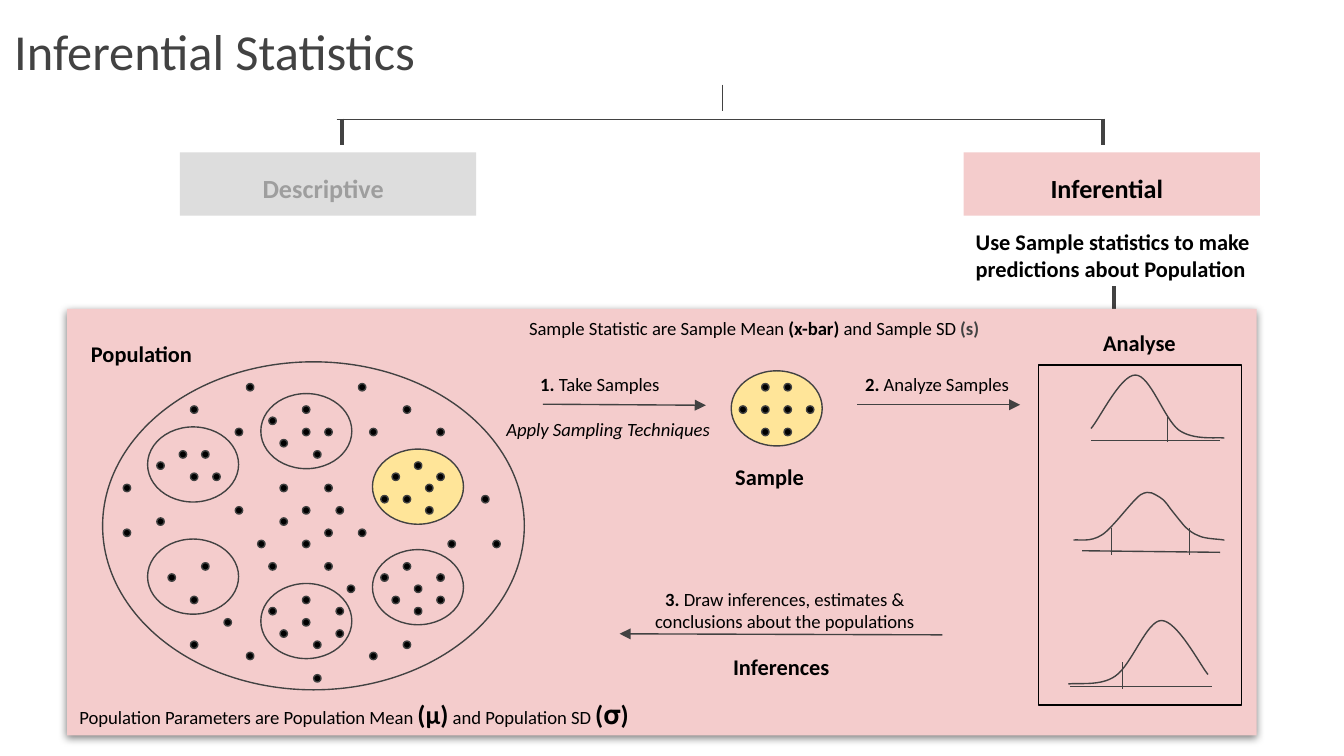
from dataclasses import dataclass

from lxml import etree
from pptx import Presentation
from pptx.dml.color import RGBColor
from pptx.enum.shapes import MSO_CONNECTOR, MSO_SHAPE
from pptx.enum.text import MSO_ANCHOR, PP_ALIGN
from pptx.oxml.ns import qn
from pptx.util import Cm, Pt

RECTANGLE, OVAL = MSO_SHAPE.RECTANGLE, MSO_SHAPE.OVAL
STRAIGHT = MSO_CONNECTOR.STRAIGHT
LEFT, CENTER = PP_ALIGN.LEFT, PP_ALIGN.CENTER
TOP, BOTTOM = MSO_ANCHOR.TOP, MSO_ANCHOR.BOTTOM


@dataclass(frozen=True)
class Theme:
    font: str = "Calibri"
    ink: str = "000000"
    dark: str = "424242"
    muted: str = "9E9E9E"
    gray: str = "DDDDDD"
    pink: str = "F4CCCC"
    yellow: str = "FFE599"
    white: str = "FFFFFF"
    title: float = 27
    heading: float = 14
    label: float = 12
    body: float = 10
    thin: float = 0.75
    thick: float = 2.25


THEME = Theme()
BOLD = {"bold": True}
LABEL = {"size": THEME.label, "bold": True}
SYMBOL = {"size": THEME.heading, "bold": True}

GROUP_SIZE = (1.72, 1.42)
GROUPS = [(4.93, 7.44), (2.79, 8.07), (2.79, 10.19), (4.93, 11.03), (7.04, 10.39)]
CHOSEN_GROUPS = [(7.04, 8.49), (13.82, 7.01)]

# Dots sit on a grid of twelfths of an inch: row -> columns.
DOT_STEP = 2.54 / 12
DOT_ORIGIN = (2.33, 7.25)
DOT_SIZE = 0.14
POPULATION_DOTS = {
    0: [11, 21], 2: [6, 16, 25], 3: [13], 4: [10, 16, 18, 22, 28], 5: [14],
    6: [5, 7, 17], 7: [3, 26], 8: [6, 8, 24, 28], 9: [0, 14, 18, 27],
    10: [23, 25, 32], 11: [10, 16, 19, 27], 12: [3, 14], 13: [0, 18, 21],
    14: [12, 16, 29, 33], 16: [7, 13, 18, 25], 17: [4, 23, 28], 18: [20, 26],
    19: [6, 16, 24, 28], 20: [13, 19, 26], 21: [9, 16], 22: [14, 19],
    23: [6, 17, 25], 24: [11, 22], 26: [17],
}
SAMPLE_DOTS = {0: [57, 59], 2: [55, 57, 59, 61], 4: [57, 59]}

# Each curve is a start point followed by groups of three Bezier points.
CURVES = [
    [(20.62, 8.1), (20.78, 7.92), (21.18, 7.08), (21.46, 7.09),
     (21.74, 7.09), (22, 7.92), (22.28, 8.13),
     (22.56, 8.33), (23.01, 8.26), (23.14, 8.28)],
    [(20.29, 10.21), (20.37, 10.19), (20.6, 10.26), (20.83, 10.11),
     (21.03, 9.98), (21.39, 9.47), (21.56, 9.35),
     (21.74, 9.25), (21.82, 9.35), (21.92, 9.4),
     (22.02, 9.45), (22.1, 9.6), (22.17, 9.68),
     (22.25, 9.78), (22.33, 9.88), (22.4, 9.96),
     (22.48, 10.03), (22.53, 10.08), (22.66, 10.13),
     (22.78, 10.19), (23.06, 10.19), (23.14, 10.21)],
    [(22.83, 12.75), (22.68, 12.57), (22.25, 11.73), (21.95, 11.73),
     (21.67, 11.73), (21.39, 12.57), (21.08, 12.78),
     (20.8, 12.98), (20.35, 12.9), (20.19, 12.93)],
]
BASELINES = [(20.62, 8.33, 23.06, 8.33), (20.45, 10.41, 23.06, 10.44),
             (20.22, 12.98, 22.91, 12.98)]
CUTOFFS = [(22.07, 7.87, 22.07, 8.36), (21.01, 9.98, 21.01, 10.49),
           (22.48, 9.98, 22.48, 10.49), (21.21, 12.52, 21.21, 13.03)]


def style(shape, fill=None, line=None):
    shape.shadow.inherit = False
    if fill:
        shape.fill.solid()
        shape.fill.fore_color.rgb = RGBColor.from_string(fill)
    else:
        shape.fill.background()
    if line:
        shape.line.color.rgb = RGBColor.from_string(line)
        shape.line.width = Pt(THEME.thin)
    else:
        shape.line.fill.background()


def add_figure(slide, kind, box, fill=None, line=None):
    shape = slide.shapes.add_shape(kind, *map(Cm, box))
    style(shape, fill, line)
    return shape


def add_line(slide, ends, width=THEME.thin, arrow=False):
    connector = slide.shapes.add_connector(STRAIGHT, *map(Cm, ends))
    connector.line.color.rgb = RGBColor.from_string(THEME.dark)
    connector.line.width = Pt(width)
    if arrow:
        outline = connector.line._get_or_add_ln()
        etree.SubElement(outline, qn("a:tailEnd"), type="triangle")
    etree.SubElement(connector._element.spPr, qn("a:effectLst"))


def add_text(slide, box, *paragraphs, align=LEFT, anchor=TOP):
    """Each paragraph is a list of (text, format values) runs."""
    shape = slide.shapes.add_textbox(*map(Cm, box))
    frame = shape.text_frame
    settings = {"word_wrap": True, "vertical_anchor": anchor}
    for side in ("left", "right", "top", "bottom"):
        settings["margin_" + side] = Pt(7.2)
    for name, value in settings.items():
        setattr(frame, name, value)
    for index, runs in enumerate(paragraphs):
        paragraph = frame.add_paragraph() if index else frame.paragraphs[0]
        paragraph.alignment = align
        for text, changes in runs:
            values = {"name": THEME.font, "size": THEME.body, "color": THEME.ink, **changes}
            values["size"] = Pt(values["size"])
            run = paragraph.add_run()
            run.text = text
            run.font.color.rgb = RGBColor.from_string(values.pop("color"))
            for name, value in values.items():
                setattr(run.font, name, value)
    return shape


def add_shadow(shape):
    effects = shape._element.spPr.find(qn("a:effectLst"))
    shadow = etree.SubElement(effects, qn("a:outerShdw"), blurRad=str(Pt(4.5)),
                              dist=str(Pt(1.5)), dir="5400000",
                              algn="bl", rotWithShape="0")
    color = etree.SubElement(shadow, qn("a:srgbClr"), val=THEME.ink)
    etree.SubElement(color, qn("a:alpha"), val="50000")


def add_curve(slide, points):
    """Turn every three line segments of a freeform into one Bezier segment."""
    start, *others = [tuple(map(Cm, point)) for point in points]
    builder = slide.shapes.build_freeform(*start, scale=1.0)
    builder.add_line_segments(others, close=False)
    shape = builder.convert_to_shape()
    style(shape, line=THEME.dark)
    path = next(shape._element.iter(qn("a:path")))
    segments = path.findall(qn("a:lnTo"))
    for first in range(0, len(segments), 3):
        curve = etree.SubElement(path, qn("a:cubicBezTo"))
        for segment in segments[first:first + 3]:
            curve.append(segment[0])
            path.remove(segment)


def add_dots(slide, rows):
    left, top = DOT_ORIGIN
    for row, columns in rows.items():
        for column in columns:
            box = (left + column * DOT_STEP, top + row * DOT_STEP, DOT_SIZE, DOT_SIZE)
            add_figure(slide, OVAL, box, THEME.ink, THEME.dark)


def add_header(slide):
    title = add_text(slide, (0.02, 0.18, 13.26, 1.6),
                     [("Inferential Statistics", {"size": THEME.title, "color": THEME.dark})],
                     anchor=BOTTOM)
    style(title, THEME.white)
    add_line(slide, (13.65, 1.6, 13.65, 2.1))
    add_line(slide, (6.36, 2.26, 20.88, 2.26))
    for left, x, text, fill, color in (
            (3.4, 6.46, "Descriptive", THEME.gray, THEME.muted),
            (18.21, 20.85, "Inferential", THEME.pink, THEME.ink)):
        add_line(slide, (x, 2.24, x, 2.74), THEME.thick)
        add_figure(slide, RECTANGLE, (left, 2.88, 5.6, 1.2), fill)
        add_text(slide, (left - 0.02, 3, 5.46, 0.91),
                 [(text, {**SYMBOL, "color": color})], align=CENTER)
    add_text(slide, (18.19, 4.06, 6.1, 0.91),
             [("Use Sample statistics to make", LABEL)],
             [("predictions about Population", LABEL)])
    add_line(slide, (21.06, 5.41, 21.06, 6.55), THEME.thick)


def add_process(slide):
    add_shadow(add_figure(slide, RECTANGLE, (1.27, 5.84, 22.48, 8.06), THEME.pink))
    add_figure(slide, OVAL, (1.94, 6.84, 7.97, 6.2), line=THEME.dark)
    for places, fill in ((GROUPS, None), (CHOSEN_GROUPS, THEME.yellow)):
        for place in places:
            add_figure(slide, OVAL, place + GROUP_SIZE, fill, THEME.dark)
    for ends in ((10.26, 7.64, 13.34, 7.66), (16.2, 7.65, 19.28, 7.65),
                 (17.81, 12, 11.71, 11.98)):
        add_line(slide, ends, arrow=True)


def add_analysis(slide):
    for curve in CURVES:
        add_curve(slide, curve)
    add_figure(slide, RECTANGLE, (19.63, 6.9, 3.83, 6.43), line=THEME.ink)
    for ends in BASELINES + CUTOFFS:
        add_line(slide, ends)


def add_captions(slide):
    for left, top, text, align in (
            (1.47, 6.18, "Population", LEFT), (12.68, 8.51, "Sample", CENTER),
            (19.67, 5.97, "Analyse", CENTER), (12.9, 12.09, "Inferences", CENTER)):
        add_text(slide, (left, top, 3.73, 0.91), [(text, LABEL)], align=align)
    for dots in (POPULATION_DOTS, SAMPLE_DOTS):
        add_dots(slide, dots)
    add_text(slide, (1.25, 12.95, 11.63, 0.91),
             [("Population Parameters are Population Mean ", {}), ("(μ)", SYMBOL),
              (" and Population SD ", {}), ("(𝛔)", SYMBOL)])
    add_text(slide, (9.75, 5.78, 10.69, 0.91),
             [("Sample Statistic are Sample Mean ", {}), ("(x-bar)", BOLD),
              (" and Sample SD ", {}), ("(s)", {**BOLD, "color": THEME.dark})])
    for box, number, text, align in (
            ((9.96, 6.83, 3.53, 0.91), "1.", " Take Samples", LEFT),
            ((16.1, 6.83, 3.53, 0.91), "2.", " Analyze Samples", LEFT),
            ((11.86, 10.85, 5.94, 0.91), "3.",
             " Draw inferences, estimates & conclusions about the populations", CENTER)):
        add_text(slide, box, [(number, BOLD), (text, {})], align=align)
    add_text(slide, (9.32, 7.69, 4.88, 0.91),
             [("Apply Sampling Techniques", {"italic": True})])
    add_figure(slide, RECTANGLE, (0.91, 3.23, 2.11, 0.91), THEME.white)


def main():
    presentation = Presentation()
    presentation.slide_width, presentation.slide_height = Cm(25.4), Cm(14.29)
    slide = presentation.slides.add_slide(presentation.slide_layouts[6])
    for add_part in (add_header, add_process, add_analysis, add_captions):
        add_part(slide)
    presentation.save("out.pptx")


if __name__ == "__main__":
    main()
